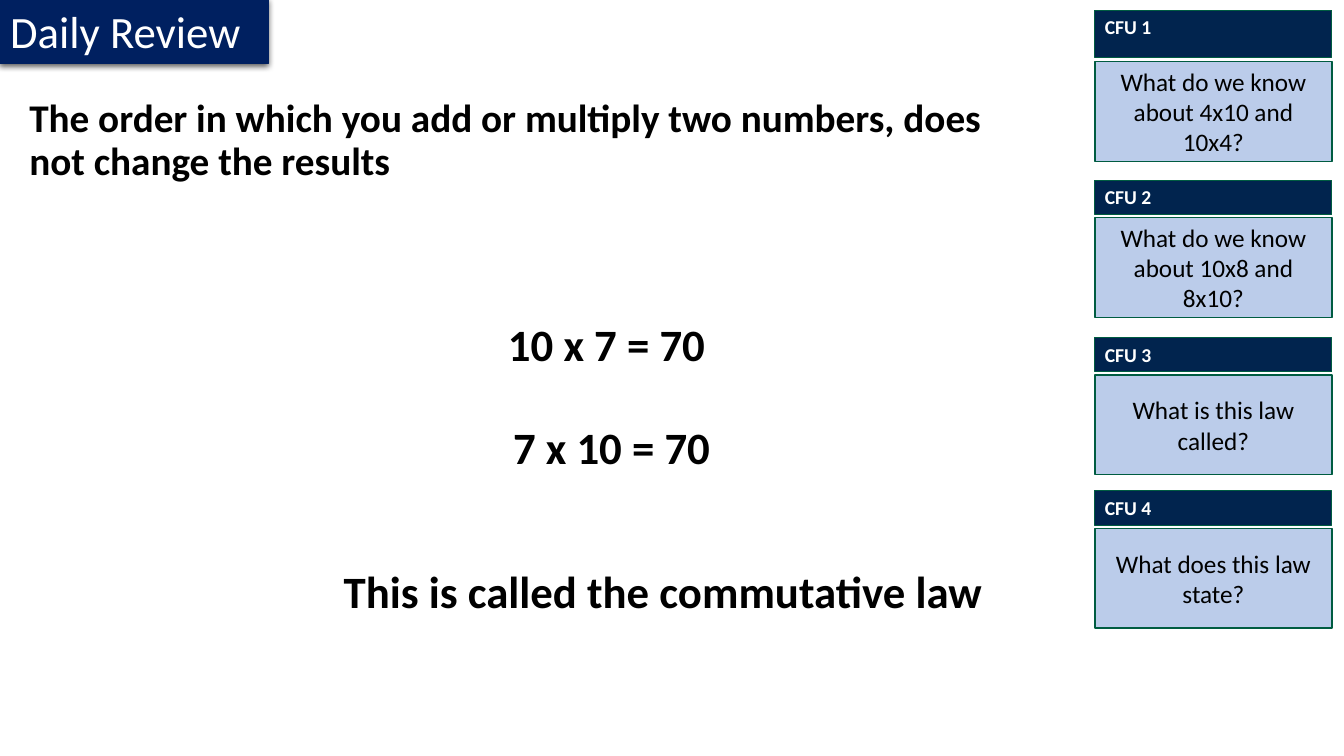
from dataclasses import dataclass

from lxml.etree import SubElement
from pptx import Presentation
from pptx.dml.color import RGBColor
from pptx.enum.shapes import MSO_SHAPE
from pptx.enum.text import MSO_ANCHOR, MSO_AUTO_SIZE, PP_ALIGN
from pptx.oxml import parse_xml
from pptx.oxml.ns import nsdecls, qn
from pptx.util import Inches, Pt


@dataclass(frozen=True)
class Theme:
    """Colours, font and type sizes of the slide."""
    font: str = "Calibri"
    banner: str = "002060"
    header: str = "01244E"
    question: str = "8FAADC"
    question_opacity: int = 60
    border: str = "005C41"
    light: str = "FFFFFF"
    dark: str = "000000"
    title_size: int = 32
    statement_size: int = 28
    question_size: int = 18
    header_size: int = 14


THEME = Theme()
QUESTIONS = [
    (0.1, 0.47, 0.51, "What do we know about 4x10 and 10x4?"),
    (1.79, 0.34, 0.37, "What do we know about 10x8 and 8x10?"),
    (3.35, 0.34, 0.37, "What is this law called?"),
    (4.87, 0.34, 0.37, "What does this law state?"),
]
EXAMPLES = [
    (4.94, 3.15, 3, "10 x 7 = 70"),
    (4.99, 4.17, 3, "7 x 10 = 70"),
    (3.31, 5.6, 7.2, "This is called the commutative law"),
]


def place(shape, left, top, width, height):
    """Move a shape to a box given in inches."""
    shape.left, shape.top = Inches(left), Inches(top)
    shape.width, shape.height = Inches(width), Inches(height)


def write(shape, text, size, color, bold=False, align=PP_ALIGN.LEFT,
          anchor=MSO_ANCHOR.TOP, spacing=1.0, wrap=True):
    """Write one formatted run into a shape."""
    frame = shape.text_frame
    frame.auto_size = MSO_AUTO_SIZE.NONE
    frame.word_wrap = wrap
    frame.vertical_anchor = anchor
    paragraph = frame.paragraphs[0]
    paragraph.alignment = align
    paragraph.line_spacing = spacing
    paragraph.space_before = Pt(0)
    run = paragraph.add_run()
    run.text = text
    run.font.name = THEME.font
    run.font.size = Pt(size)
    run.font.bold = bold
    run.font.color.rgb = RGBColor.from_string(color)


def paint(shape, fill, line, line_width):
    """Give a shape a solid fill and outline."""
    shape.fill.solid()
    shape.fill.fore_color.rgb = RGBColor.from_string(fill)
    shape.line.color.rgb = RGBColor.from_string(line)
    shape.line.width = Pt(line_width)


def add_banner(slide, left, top, width, height):
    """Turn the title placeholder into a shadowed arrow banner."""
    title = slide.shapes.title
    place(title, left, top, width, height)
    properties = title.element.spPr
    properties.find(qn("a:xfrm")).addnext(parse_xml(
        f'<a:prstGeom {nsdecls("a")} prst="homePlate"><a:avLst/></a:prstGeom>'))
    paint(title, THEME.banner, THEME.banner, 0.75)
    properties.append(parse_xml(
        f'<a:effectLst {nsdecls("a")}><a:outerShdw blurRad="{Pt(4.5)}" dist="{Pt(1.5)}" '
        f'dir="5400000" rotWithShape="0"><a:srgbClr val="{THEME.dark}">'
        '<a:alpha val="63000"/></a:srgbClr></a:outerShdw></a:effectLst>'))
    write(title, "Daily Review", THEME.title_size, THEME.light, wrap=False)


def add_statement(slide, left, top, width, height):
    """Fill the body placeholder with the rule being reviewed."""
    body = slide.placeholders[1]
    place(body, left, top, width, height)
    properties = body.text_frame.paragraphs[0]._p.get_or_add_pPr()
    properties.set("marL", "0")
    properties.set("indent", "0")
    SubElement(properties, qn("a:buNone"))
    write(body, "The order in which you add or multiply two numbers, does not change the results",
          THEME.statement_size, THEME.dark, bold=True, spacing=0.9)


def add_example(slide, left, top, width, height, text):
    """Add one bold line of the worked example."""
    box = slide.shapes.add_textbox(Inches(left), Inches(top), Inches(width), Inches(height))
    write(box, text, THEME.title_size, THEME.dark, bold=True, spacing=0.9)


def add_panel(group, left, top, width, height, fill, line_width):
    """Add a bordered rectangle to a group."""
    panel = group.shapes.add_shape(MSO_SHAPE.RECTANGLE, Inches(left), Inches(top),
                                   Inches(width), Inches(height))
    panel.shadow.inherit = False
    paint(panel, fill, THEME.border, line_width)
    return panel


def add_question(slide, left, top, width, header_height, offset, label, text):
    """Add a grouped header and question card."""
    group = slide.shapes.add_group_shape()
    header = add_panel(group, left, top, width, header_height, THEME.header, 0.75)
    write(header, label, THEME.header_size, THEME.light, bold=True)
    card = add_panel(group, left, top + offset, width, 0.99, THEME.question, 1)
    color = card.element.spPr.find(qn("a:solidFill")).find(qn("a:srgbClr"))
    SubElement(color, qn("a:alpha")).set("val", str(THEME.question_opacity * 1000))
    write(card, text, THEME.question_size, THEME.dark,
          align=PP_ALIGN.CENTER, anchor=MSO_ANCHOR.MIDDLE)


def main():
    """Build and save the slide."""
    presentation = Presentation()
    presentation.slide_width, presentation.slide_height = Inches(13.33), Inches(7.5)
    slide = presentation.slides.add_slide(presentation.slide_layouts[1])
    add_banner(slide, 0, -0.01, 2.66, 0.64)
    add_statement(slide, 0.19, 0.93, 9.77, 1)
    for left, top, width, text in EXAMPLES:
        add_example(slide, left, top, width, 0.72, text)
    for number, (top, header_height, offset, text) in enumerate(QUESTIONS, start=1):
        add_question(slide, 10.86, top, 2.35, header_height, offset, f"CFU {number}", text)
    presentation.save("out.pptx")


if __name__ == "__main__":
    main()
